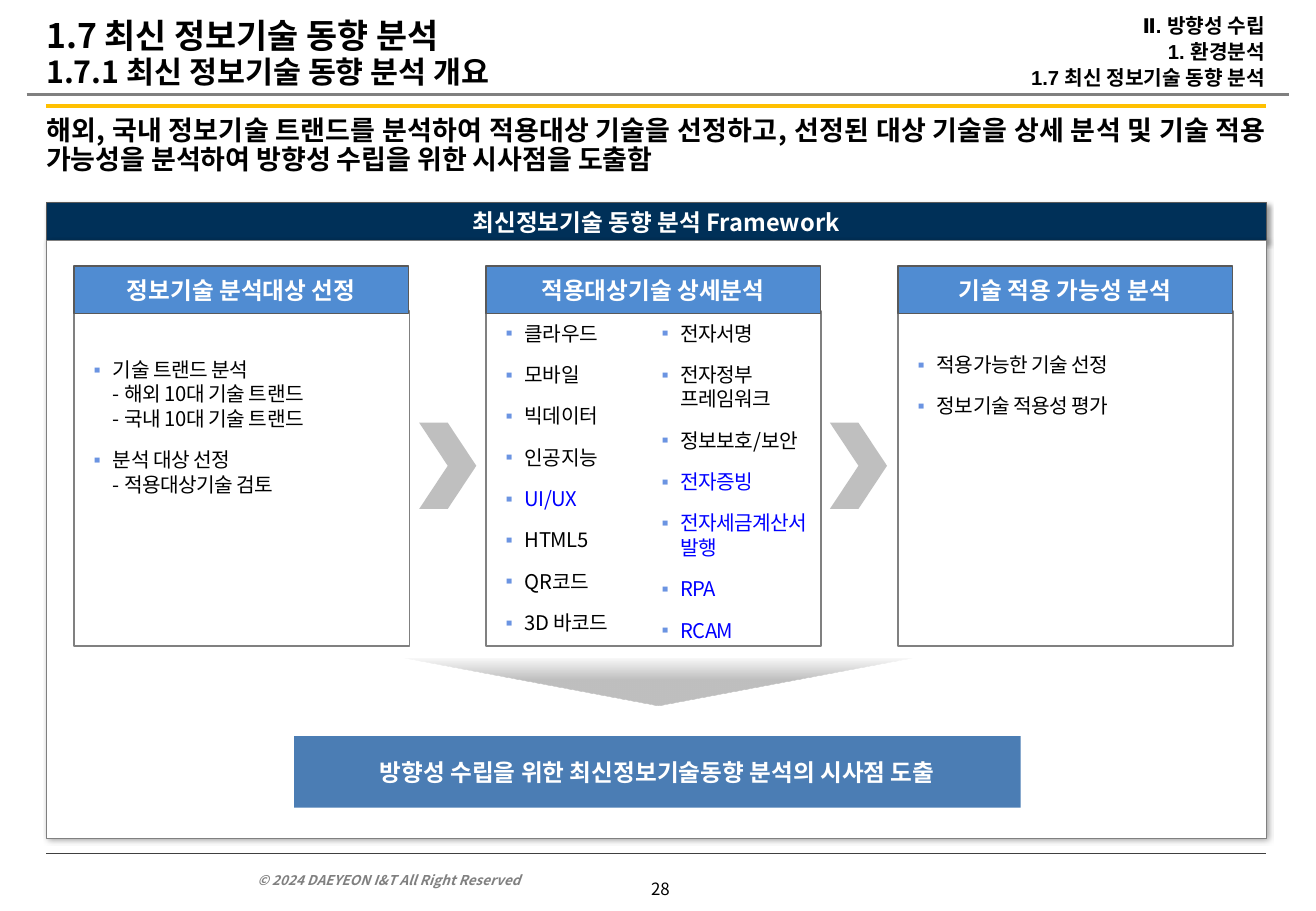
from lxml import etree
from pptx import Presentation
from pptx.dml.color import RGBColor
from pptx.enum.shapes import MSO_CONNECTOR, MSO_SHAPE
from pptx.enum.text import MSO_ANCHOR, PP_ALIGN
from pptx.oxml.ns import qn
from pptx.util import Inches, Pt

RECT, CHEVRON, TRIANGLE = MSO_SHAPE.RECTANGLE, MSO_SHAPE.CHEVRON, MSO_SHAPE.ISOSCELES_TRIANGLE
TOP, MIDDLE, BOTTOM = MSO_ANCHOR.TOP, MSO_ANCHOR.MIDDLE, MSO_ANCHOR.BOTTOM
LEFT, CENTER, RIGHT, JUSTIFY = PP_ALIGN.LEFT, PP_ALIGN.CENTER, PP_ALIGN.RIGHT, PP_ALIGN.JUSTIFY
FONT = "Noto Sans CJK KR"

COLORS = {
    "black": "000000", "white": "FFFFFF", "gray": "808080", "dark": "595959",
    "footer": "404040", "gold": "FFC000", "navy": "003058", "header": "508CD2",
    "result": "4B7DB4", "arrow": "BFBFBF", "bullet": "6B94E2", "new": "0000FF",
}

TITLE = "1.7 최신 정보기술 동향 분석\v1.7.1 최신 정보기술 동향 분석 개요"
BREADCRUMB = ["Ⅱ. 방향성 수립", "1. 환경분석", "1.7 최신 정보기술 동향 분석"]
SUMMARY = ("해외, 국내 정보기술 트랜드를 분석하여 적용대상 기술을 선정하고, 선정된 대상 기술을 "
           "상세 분석 및 기술 적용 가능성을 분석하여 방향성 수립을 위한 시사점을 도출함")
FRAMEWORK = "최신정보기술 동향 분석 Framework"
RESULT = "방향성 수립을 위한 최신정보기술동향 분석의 시사점 도출"
COPYRIGHT = "© 2024 DAEYEON I&T All Right Reserved"
PAGE = "28"
# heading, top inset, text columns, items
STEPS = [
    ("정보기술 분석대상 선정", 0.38, 1,
     ["기술 트랜드 분석\v- 해외 10대 기술 트랜드\v- 국내 10대 기술 트랜드",
      "분석 대상 선정\v- 적용대상기술 검토"]),
    ("적용대상기술 상세분석", 0.08, 2,
     ["클라우드", "모바일", "빅데이터", "인공지능", "UI/UX", "HTML5", "QR코드", "3D 바코드",
      "전자서명", "전자정부\v프레임워크", "정보보호/보안", "전자증빙", "전자세금계산서 발행",
      "RPA", "RCAM"]),
    ("기술 적용 가능성 분석", 0.34, 1, ["적용가능한 기술 선정", "정보기술 적용성 평가"]),
]
NEW_ITEMS = {"UI/UX", "전자증빙", "전자세금계산서 발행", "RPA", "RCAM"}
# x1, x2, y, color, width
RULES = [(0.22, 10.61, 0.78, "gray", 1.5), (0.38, 10.42, 0.87, "gold", 2.5),
         (0.38, 10.42, 7.03, "footer", 0.5)]

prs = Presentation()
prs.slide_width, prs.slide_height = Inches(10.83), Inches(7.5)
slide = prs.slides.add_slide(prs.slide_layouts[6])


def rgb(name):
    return RGBColor.from_string(COLORS[name])


def child(parent, tag, **attrs):
    return etree.SubElement(parent, qn(tag), attrs)


def add_box(kind, at, fill, line=None, width=0.5):
    s = slide.shapes.add_shape(kind, *map(Inches, at))
    s.shadow.inherit = False
    s.fill.solid()
    s.fill.fore_color.rgb = rgb(fill)
    if line:
        s.line.color.rgb = rgb(line)
        s.line.width = Pt(width)
    else:
        s.line.fill.background()
    return s


def add_shadow(s):
    effects = s._element.spPr.find(qn("a:effectLst"))
    shadow = child(effects, "a:outerShdw", blurRad=str(Pt(3)), dist=str(Pt(2)),
                   dir="2700000", algn="tl", rotWithShape="0")
    child(child(shadow, "a:srgbClr", val=COLORS["black"]), "a:alpha", val="40000")


def style_run(r, size, color="black", bold=False, font=FONT):
    r.font.size, r.font.bold, r.font.name = Pt(size), bold, font
    r.font.color.rgb = rgb(color)
    child(r._r.get_or_add_rPr(), "a:ea", typeface=FONT)


def write(s, lines, size, color="black", bold=False, font=FONT, align=LEFT, anchor=MIDDLE,
          insets=(0, 0, 0, 0), pitch=None, gap=0, wrap=True):
    """Fill a shape with one paragraph per line; pitch is a fixed line height in points."""
    tf = s.text_frame
    tf.word_wrap, tf.vertical_anchor = wrap, anchor
    tf.margin_left, tf.margin_top, tf.margin_right, tf.margin_bottom = map(Inches, insets)
    for i, line in enumerate(lines):
        p = tf.add_paragraph() if i else tf.paragraphs[0]
        p.text = line
        p.alignment = align
        if pitch:
            p.line_spacing = Pt(pitch)
        if i and gap:
            p.space_before = Pt(gap)
        for r in p.runs:
            style_run(r, size, color, bold, font)
    return tf


def add_text(at, lines, size, **options):
    return write(slide.shapes.add_textbox(*map(Inches, at)), lines, size, **options)


def add_bullet(p):
    pPr = p._p.get_or_add_pPr()
    pPr.set("marL", str(Inches(0.2)))
    pPr.set("indent", str(-Inches(0.2)))
    child(child(pPr, "a:buClr"), "a:srgbClr", val=COLORS["bullet"])
    child(pPr, "a:buSzPct", val="90000")
    child(pPr, "a:buFont", typeface=FONT)
    child(pPr, "a:buChar", char="▪")


def add_step(x, heading, top, columns, items):
    panel = add_box(RECT, (x, 2.56, 2.76, 2.76), "white", "gray", 1)
    tf = write(panel, items, 12, anchor=TOP, insets=(0.12, top, 0.08, 0.02), pitch=14.5, gap=10)
    if columns > 1:
        tf._txBody.bodyPr.set("numCol", str(columns))
    for p, item in zip(tf.paragraphs, items):
        add_bullet(p)
        for r in p.runs:
            r._r.get_or_add_rPr().set("spc", "-30")
            if item in NEW_ITEMS:
                r.font.color.rgb = rgb("new")
    header = add_box(RECT, (x, 2.19, 2.75, 0.39), "header", "dark", 0.75)
    write(header, [heading], 14, color="white", bold=True, align=CENTER)


def add_down_arrow():
    s = add_box(TRIANGLE, (3.33, 5.42, 4.18, 0.39), "arrow")
    s.rotation = 180
    spPr = s._element.spPr
    solid = spPr.find(qn("a:solidFill"))
    grad = etree.Element(qn("a:gradFill"), rotWithShape="1")
    stops = child(grad, "a:gsLst")
    for pos, alpha in ((0, 100), (55, 100), (100, 10)):
        stop = child(stops, "a:gs", pos=str(pos * 1000))
        color = child(stop, "a:srgbClr", val=COLORS["arrow"])
        child(color, "a:alpha", val=str(alpha * 1000))
    child(grad, "a:lin", ang="5400000", scaled="0")
    spPr.replace(solid, grad)


for x1, x2, y, color, width in RULES:
    rule = slide.shapes.add_connector(MSO_CONNECTOR.STRAIGHT, Inches(x1), Inches(y),
                                      Inches(x2), Inches(y))
    rule.line.color.rgb = rgb(color)
    rule.line.width = Pt(width)
    child(rule._element.spPr, "a:effectLst")

title = add_text((0.38, 0.03, 6.4, 0.85), [TITLE], 20, bold=True, pitch=20.1)
title.paragraphs[0].runs[1].font.size = Pt(18)
add_text((6.87, 0, 3.54, 0.86), BREADCRUMB, 12, bold=True, font="Arial", align=RIGHT,
         pitch=13, gap=2.4)
add_text((0.38, 0.96, 10.04, 0.68), [SUMMARY], 16, bold=True, align=JUSTIFY, anchor=TOP,
         pitch=17.2)
footer = add_text((2.02, 7.09, 3.02, 0.27), [COPYRIGHT], 8, color="gray", bold=True,
                  anchor=BOTTOM, insets=(0.1, 0.05, 0.1, 0.05))
footer.paragraphs[0].runs[0].font.italic = True
add_text((5.26, 7.18, 0.35, 0.27), [PAGE], 10, align=CENTER, wrap=False)

banner = add_box(RECT, (0.38, 1.67, 10.04, 0.31), "navy", "dark")
write(banner, [FRAMEWORK], 14, color="white", bold=True, align=CENTER)
frame = add_box(RECT, (0.38, 1.98, 10.04, 4.92), "white", "gray")
for s in (banner, frame):
    add_shadow(s)

for i, step in enumerate(STEPS):
    add_step(0.61 + 3.39 * i, *step)
for i in range(len(STEPS) - 1):
    add_box(CHEVRON, (3.45 + 3.38 * i, 3.48, 0.47, 0.71), "arrow")
add_down_arrow()
result = add_box(RECT, (2.42, 6.06, 5.98, 0.59), "result")
write(result, [RESULT], 14, color="white", bold=True, align=CENTER)

prs.save("out.pptx")
